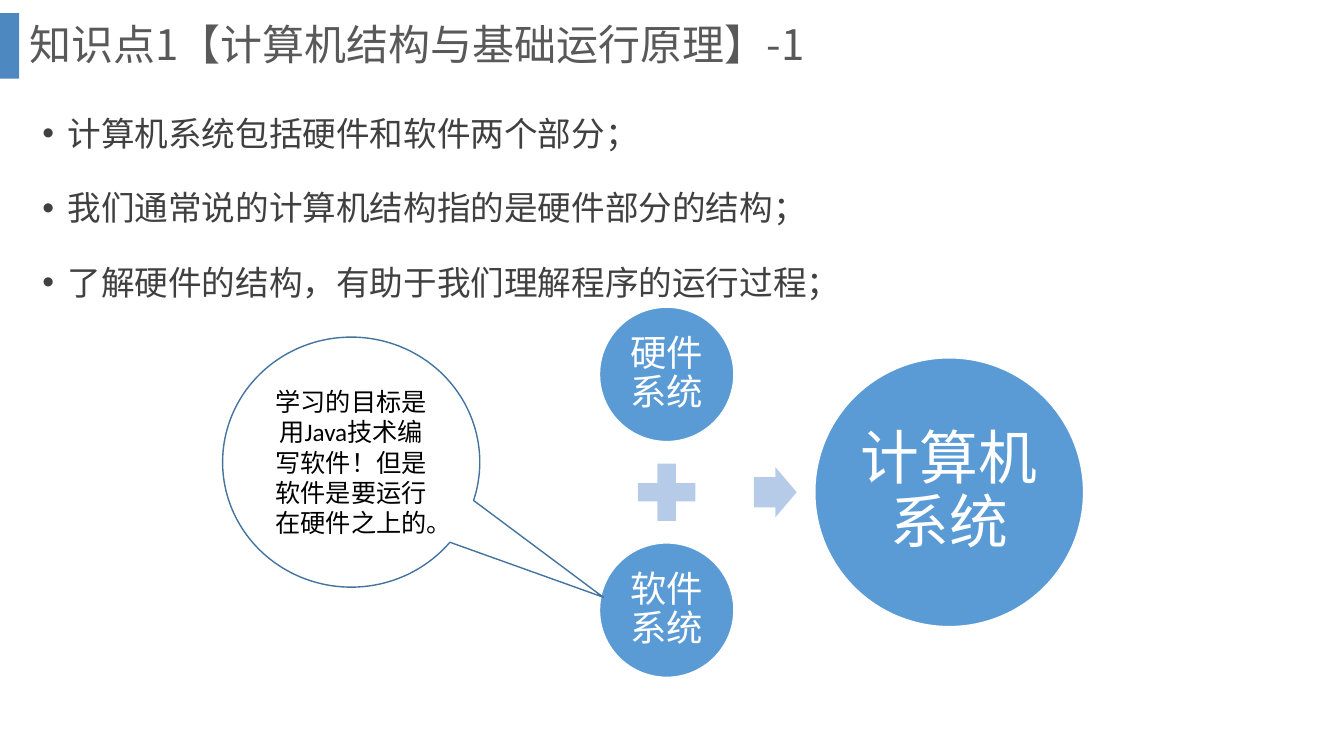
import pptx
import pptx.util
import pptx.enum.shapes
import pptx.enum.text
import pptx.dml.color
import pptx.oxml.ns
import lxml.etree

Pt = pptx.util.Pt
RGB = pptx.dml.color.RGBColor
KIND = pptx.enum.shapes.MSO_SHAPE
ALIGN = pptx.enum.text.PP_ALIGN
ANCHOR = pptx.enum.text.MSO_ANCHOR
qn = pptx.oxml.ns.qn

WHITE = RGB(0xFF, 0xFF, 0xFF)
BLACK = RGB(0, 0, 0)
DARK = RGB(0x40, 0x40, 0x40)
GREY = RGB(0x59, 0x59, 0x59)
BLUE = RGB(0x5B, 0x9B, 0xD5)
PALE = RGB(0xB5, 0xCB, 0xE7)
EDGE = RGB(0x43, 0x73, 0x9E)
DEEP = RGB(0x2E, 0x75, 0xB6)
NOTO = "Noto Sans CJK SC"


def write(shape, *lines, size, color, font="Calibri", align=ALIGN.CENTER,
          anchor=ANCHOR.MIDDLE, space=1.0, before=0, inset=None):
    """Fill a shape with paragraphs in one format."""
    frame = shape.text_frame
    frame.word_wrap = True
    frame.auto_size = pptx.enum.text.MSO_AUTO_SIZE.NONE
    frame.vertical_anchor = anchor
    if inset is not None:
        frame.margin_left = frame.margin_right = Pt(inset)
        frame.margin_top = frame.margin_bottom = Pt(inset)
    frame.text = "\n".join(lines)
    for para in frame.paragraphs:
        para.alignment = align
        para.line_spacing = space
        para.space_before = Pt(before)
        for run in para.runs:
            run.font.size = Pt(size)
            run.font.name = font
            run.font.color.rgb = color
            if font == NOTO:
                east = lxml.etree.SubElement(run._r.get_or_add_rPr(), qn("a:ea"))
                east.set("typeface", font)


def draw(kind, left, top, width, height, fill=None, line=None):
    """Add a preset shape with a plain fill and outline."""
    shape = slide.shapes.add_shape(kind, Pt(left), Pt(top), Pt(width), Pt(height))
    shape.shadow.inherit = False
    if fill is None:
        shape.fill.background()
    else:
        shape.fill.solid()
        shape.fill.fore_color.rgb = fill
    if line is None:
        shape.line.fill.background()
    else:
        shape.line.color.rgb = line
        shape.line.width = Pt(1)
    return shape


deck = pptx.Presentation()
deck.slide_width, deck.slide_height = Pt(960), Pt(540)
slide = deck.slides.add_slide(deck.slide_layouts[1])
title, body = slide.placeholders

# Title with its accent bar
bar = draw(KIND.RECTANGLE, 0, 9.4, 13.7, 46.8, fill=DEEP)
tint = bar._element.spPr.find(qn("a:solidFill"))[0]
lxml.etree.SubElement(tint, qn("a:alpha")).set("val", "85000")

title.left, title.top, title.width, title.height = Pt(13.7), Pt(0), Pt(911.5), Pt(67)
write(title, "知识点1【计算机结构与基础运行原理】-1", size=30, color=GREY,
      font=NOTO, align=ALIGN.LEFT, space=0.9)

# Bullet list
body.left, body.top, body.width, body.height = Pt(23), Pt(62.6), Pt(867.6), Pt(167)
write(body, "计算机系统包括硬件和软件两个部分；",
      "我们通常说的计算机结构指的是硬件部分的结构；",
      "了解硬件的结构，有助于我们理解程序的运行过程；",
      size=24, color=DARK, font=NOTO, align=ALIGN.LEFT, anchor=ANCHOR.TOP,
      space=1.5, before=10)
for para in body.text_frame.paragraphs:
    props = para._p.get_or_add_pPr()
    props.set("marL", str(Pt(18)))
    props.set("indent", str(-Pt(18)))
    lxml.etree.SubElement(props, qn("a:buChar")).set("char", "•")

# Hardware + software -> computer, placed by centres
MID, STEP, PARTS = 351.6, 84.2, 476.2
for words, x, y, wide, size, inset in (
        ("硬件系统", PARTS, MID - STEP, 96, 26, 2.6),
        ("软件系统", PARTS, MID + STEP, 96, 26, 2.6),
        ("计算机系统", 678, MID, 192, 42, 4.2)):
    disc = draw(KIND.OVAL, x - wide / 2, y - wide / 2, wide, wide, BLUE, WHITE)
    write(disc, words, size=size, color=WHITE, space=0.9, inset=inset)

for kind, x, wide, high in ((KIND.MATH_PLUS, PARTS, 55.6, 55.6),
                            (KIND.RIGHT_ARROW, 553.8, 30.5, 36)):
    sign = draw(kind, x - wide / 2, MID - high / 2, wide, high, PALE)
sign.adjustments[0] = 0.6

# Remark pointing at the software circle
note = draw(KIND.OVAL_CALLOUT, 159, 240.8, 183.7, 178.6, line=EDGE)
note.adjustments[0] = 0.98
note.adjustments[1] = 0.54
write(note, "学习的目标是用Java技术编写软件！但是软件是要运行在硬件之上的。",
      size=18, color=BLACK)

deck.save("out.pptx")
